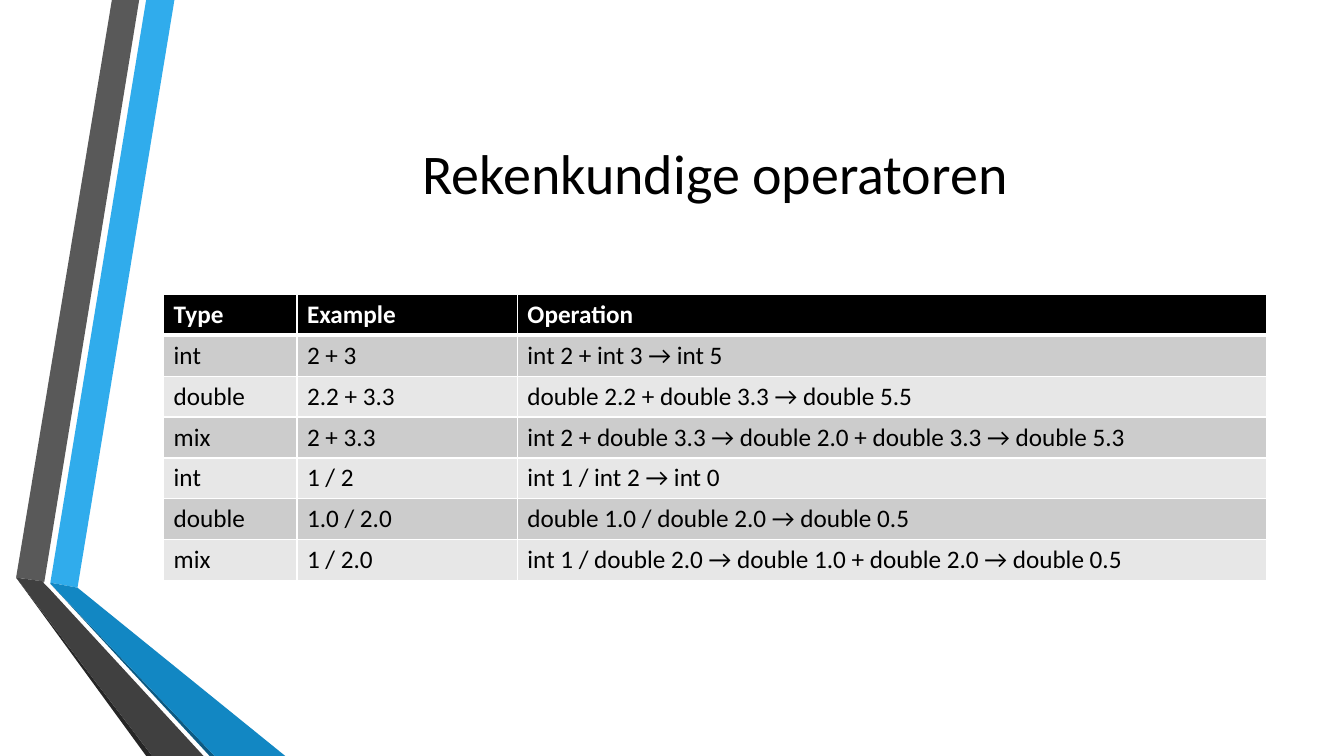
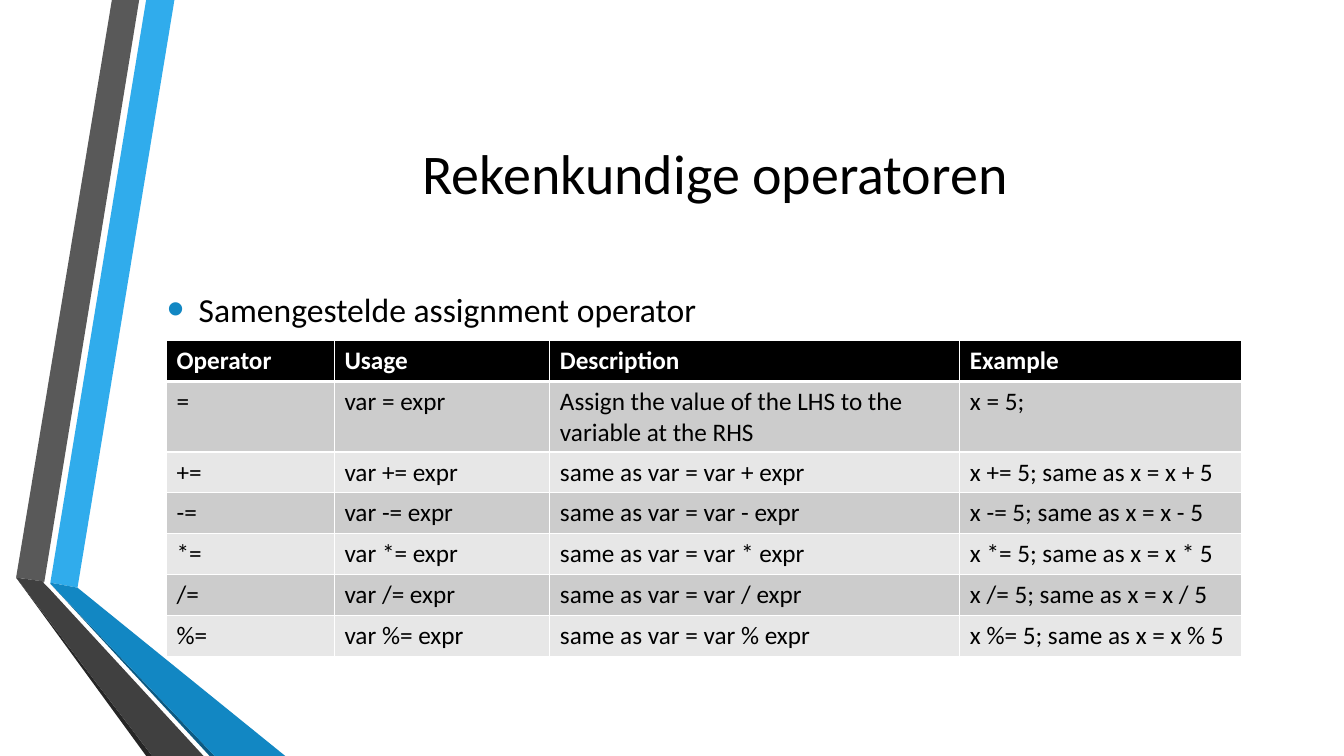
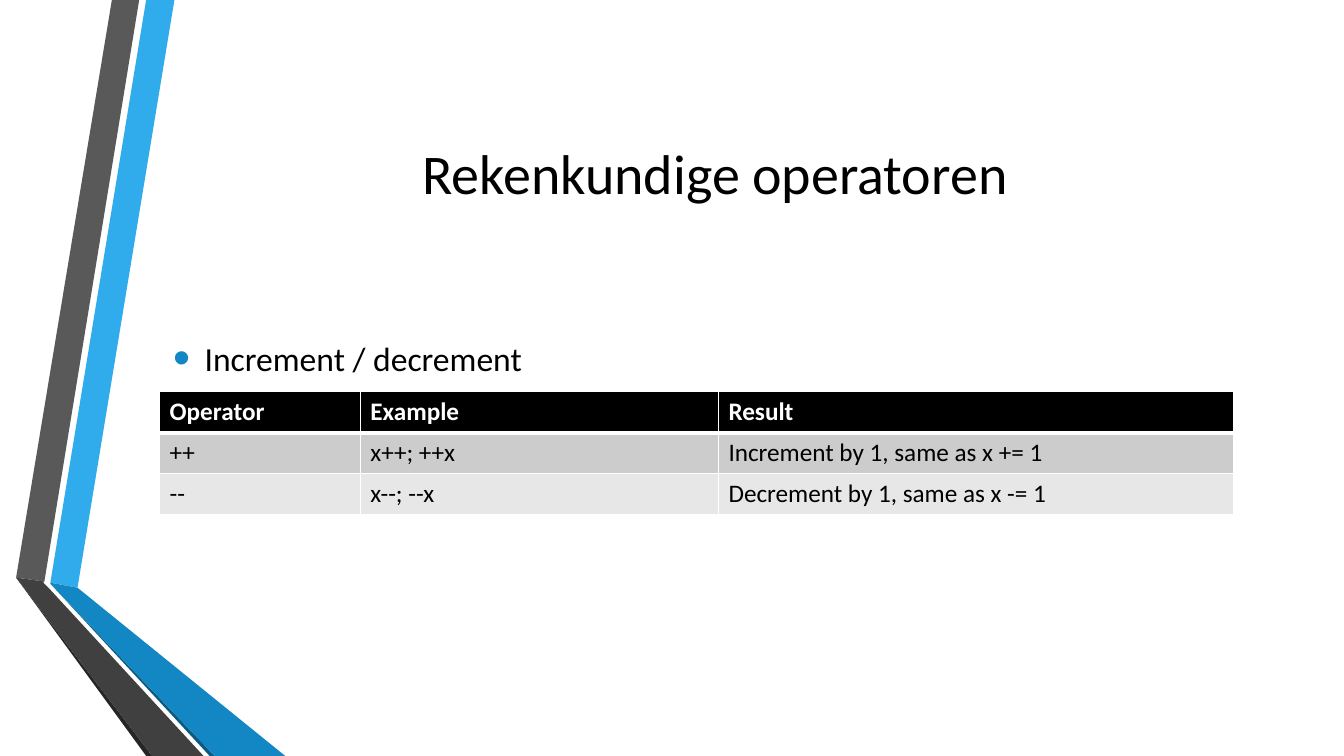
from dataclasses import dataclass

from lxml import etree
from pptx import Presentation
from pptx import util as u
from pptx.dml.color import RGBColor
from pptx.enum import text
from pptx.oxml import ns

TITLE = "Rekenkundige operatoren"

SLIDES = [
    {
        "bullet": None,
        "table_at": (116.9, 210.3),
        "columns": (95.2, 157.5, 534.9),
        "rows": [
            ("Type", "Example", "Operation"),
            ("int", "2 + 3", "int 2 + int 3 → int 5"),
            ("double", "2.2 + 3.3", "double 2.2 + double 3.3 → double 5.5"),
            ("mix", "2 + 3.3", "int 2 + double 3.3 → double 2.0 + double 3.3 → double 5.3"),
            ("int", "1 / 2", "int 1 / int 2 → int 0"),
            ("double", "1.0 / 2.0", "double 1.0 / double 2.0 → double 0.5"),
            ("mix", "1 / 2.0", "int 1 / double 2.0 → double 1.0 + double 2.0 → double 0.5"),
        ],
    },
    {
        "bullet": ("Samengestelde assignment operator", (112.3, 175)),
        "table_at": (119, 243.2),
        "columns": (119.9, 153.9, 292.9, 201),
        "rows": [
            ("Operator", "Usage", "Description", "Example"),
            ("=", "var = expr", "Assign the value of the LHS to the variable at the RHS", "x = 5;"),
        ] + [
            (f"{sign}=", f"var {sign}= expr", f"same as var = var {sign} expr",
             f"x {sign}= 5; same as x = x {sign} 5")
            for sign in "+-*/%"
        ],
    },
    {
        "bullet": ("Increment / decrement", (116.6, 210.2)),
        "table_at": (114, 279.9),
        "columns": (143.4, 255.8, 368.1),
        "rows": [
            ("Operator", "Example", "Result"),
            ("++", "x++; ++x", "Increment by 1, same as x += 1"),
            ("--", "x--; --x", "Decrement by 1, same as x -= 1"),
        ],
    },
]

RIBBONS = [
    ("30ACEC", [(36, 416.2), (55.4, 419.8), (124.6, 0), (104.4, 0)]),
    ("595959", [(99.4, 0), (79.9, 0), (11.5, 412.6), (31.7, 415.4)]),
    ("262626", [(11.5, 412.6), (104.4, 540), (108.7, 540)]),
    ("0C5A82", [(36, 416.9), (149.8, 540), (153.4, 540)]),
    ("1287C3", [(36, 416.9), (153.4, 540), (203.8, 540), (55.4, 419.8), (36, 416.2)]),
    ("404040", [(145.4, 540), (34.6, 419.8), (31, 416.2), (31.7, 415.4), (11.5, 412.6), (108.7, 540)]),
]


@dataclass(frozen=True)
class Theme:
    font: str = "Calibri"
    ink: str = "000000"
    paper: str = "FFFFFF"
    accent: str = "1287C3"
    bands: tuple = ("E7E7E7", "CCCCCC")
    title_size: float = 40
    bullet_size: float = 24
    table_size: float = 18
    row_height: float = 29.2
    thin: float = 0.96
    thick: float = 3


theme = Theme()


def color(code):
    return RGBColor.from_string(code)


def set_font(para, size, code, bold=False):
    para.font.name = theme.font
    para.font.size = u.Pt(size)
    para.font.color.rgb = color(code)
    para.font.bold = bold


def add_node(parent, tag, **attributes):
    return etree.SubElement(parent, ns.qn(tag), attributes)


def add_ribbons(page, layout):
    group = page.shapes.add_group_shape()
    for code, corners in RIBBONS:
        first, *others = [(u.Pt(x), u.Pt(y)) for x, y in corners]
        outline = group.shapes.build_freeform(*first)
        outline.add_line_segments(others, close=True)
        ribbon = outline.convert_to_shape()
        ribbon.shadow.inherit = False
        ribbon.fill.solid()
        ribbon.fill.fore_color.rgb = color(code)
        ribbon.line.fill.background()
    layout.shapes.element.append(group.element)


def add_text(page, words, place, size):
    box = page.shapes.add_textbox(*map(u.Pt, place))
    frame = box.text_frame
    frame.word_wrap = True
    para = frame.paragraphs[0]
    para.text = words
    set_font(para, size, theme.ink)
    return frame, para


def add_title(page):
    frame, para = add_text(page, TITLE, (116.6, 54, 788.4, 137.5), theme.title_size)
    frame.vertical_anchor = text.MSO_ANCHOR.MIDDLE
    para.alignment = text.PP_ALIGN.CENTER


def add_bullet(page, words, corner):
    frame, para = add_text(page, words, (*corner, 788.4, 245.5), theme.bullet_size)
    frame.vertical_anchor = text.MSO_ANCHOR.TOP
    frame.margin_top = u.Pt(31)
    props = para._p.get_or_add_pPr()
    indent = u.Pt(22.5)
    props.set("marL", str(indent))
    props.set("indent", str(-indent))
    add_node(add_node(props, "a:buClr"), "a:srgbClr", val=theme.accent)
    add_node(props, "a:buSzPct", val="145000")
    add_node(props, "a:buFont", typeface="Arial")
    add_node(props, "a:buChar", char="•")


def set_borders(cell, row):
    widths = {
        "L": theme.thin,
        "R": theme.thin,
        "T": theme.thick if row == 1 else theme.thin,
        "B": theme.thick if row == 0 else theme.thin,
    }
    props = cell._tc.get_or_add_tcPr()
    for side, width in widths.items():
        line = add_node(props, f"a:ln{side}", w=str(u.Pt(width)))
        add_node(add_node(line, "a:solidFill"), "a:srgbClr", val=theme.paper)


def add_table(page, corner, columns, rows):
    place = (*corner, sum(columns), theme.row_height * len(rows))
    table = page.shapes.add_table(len(rows), len(columns), *map(u.Pt, place)).table
    for column, width in zip(table.columns, columns):
        column.width = u.Pt(width)
    for r, values in enumerate(rows):
        table.rows[r].height = u.Pt(theme.row_height)
        header = r == 0
        for c, value in enumerate(values):
            cell = table.cell(r, c)
            set_borders(cell, r)
            cell.fill.solid()
            cell.fill.fore_color.rgb = color(theme.ink if header else theme.bands[r % 2])
            para = cell.text_frame.paragraphs[0]
            para.text = value
            set_font(para, theme.table_size, theme.paper if header else theme.ink, header)


deck = Presentation()
deck.slide_width, deck.slide_height = u.Pt(960), u.Pt(540)
blank = deck.slide_layouts[6]
for number, content in enumerate(SLIDES):
    page = deck.slides.add_slide(blank)
    if number == 0:
        add_ribbons(page, blank)
    add_title(page)
    if content["bullet"]:
        add_bullet(page, *content["bullet"])
    add_table(page, content["table_at"], content["columns"], content["rows"])
deck.save("out.pptx")
